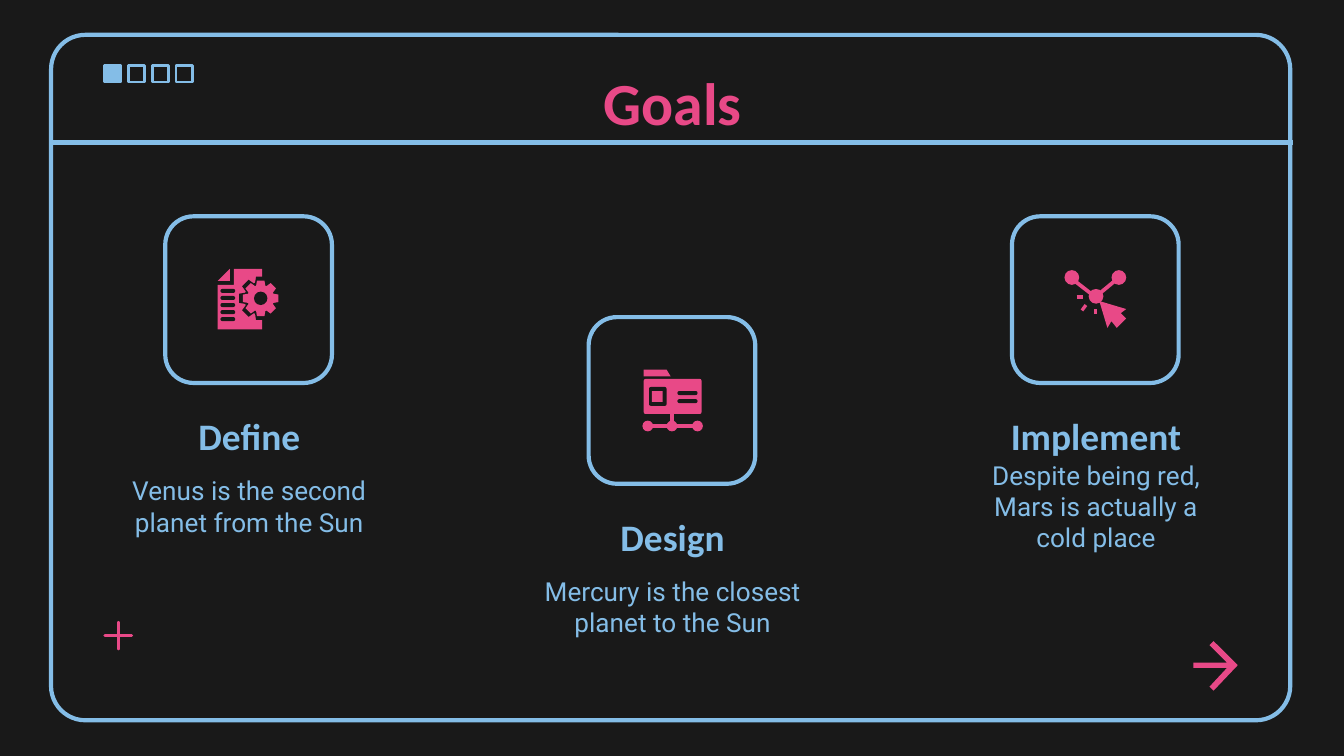
import math
from lxml import etree
from pptx import Presentation
from pptx import util as u
from pptx.dml import color
from pptx.enum import shapes, text
from pptx.oxml import ns

COLORS = {"background": "191919", "blue": "84BDE7", "pink": "E84987"}
RGB = {name: color.RGBColor.from_string(value) for name, value in COLORS.items()}
KIND = shapes.MSO_SHAPE

presentation = Presentation()
presentation.slide_width = u.Inches(10)
presentation.slide_height = u.Inches(10 * 9 / 16)
slide = presentation.slides.add_slide(presentation.slide_layouts[5])
slide.background.fill.solid()
slide.background.fill.fore_color.rgb = RGB["background"]


def add_part(kind, box, fill=None, line=None, width=1.5, adjustment=None):
    shape = slide.shapes.add_shape(kind, *map(u.Inches, box))
    shape.shadow.inherit = False
    if fill:
        shape.fill.solid()
        shape.fill.fore_color.rgb = RGB[fill]
    else:
        shape.fill.background()
    if line:
        shape.line.color.rgb = RGB[line]
        shape.line.width = u.Pt(width)
    else:
        shape.line.fill.background()
    if adjustment is not None:
        shape.adjustments[0] = adjustment


def write(shape, box, words, size, font, tint, bold, anchor):
    shape.left, shape.top, shape.width, shape.height = map(u.Inches, box)
    frame = shape.text_frame
    frame.text = words
    frame.word_wrap = True
    frame.auto_size = text.MSO_AUTO_SIZE.NONE
    frame.vertical_anchor = anchor
    frame.margin_left = frame.margin_right = u.Inches(0.1)
    frame.margin_top = frame.margin_bottom = u.Inches(0.1)
    paragraph = frame.paragraphs[0]
    paragraph.alignment = text.PP_ALIGN.CENTER
    run = paragraph.runs[0]
    run.font.size = u.Pt(size)
    run.font.name = font
    run.font.bold = bold
    run.font.color.rgb = RGB[tint]


for index in range(4):
    add_part(KIND.RECTANGLE, (0.78 + 0.53 / 3 * index, 0.49, 0.12, 0.12),
             "blue" if index == 0 else None, "blue")
add_part(KIND.ROUNDED_RECTANGLE, (0.38, 0.26, 9.22, 5.1), None, "blue", 2.25, 0.05)

write(slide.shapes.title, (0.79, 0.49, 8.43, 0.63), "Goals", 32, "Calibri", "pink", True,
      text.MSO_ANCHOR.BOTTOM)

goals = [
    ("Define", "Venus is the second planet from the Sun", 1.61),
    ("Design", "Mercury is the closest planet to the Sun", 2.36),
    ("Implement", "Despite being red, Mars is actually a cold place", 1.61),
]
for index, (heading, detail, top) in enumerate(goals):
    left = 0.79 + 3.15 * index
    add_part(KIND.ROUNDED_RECTANGLE, (left + 0.44, top, 1.24, 1.24), None, "blue", 2.25, 0.17)
    write(slide.shapes.add_textbox(0, 0, 0, 0), (left, top + 1.34, 2.13, 0.58), heading,
          20, "Calibri", "blue", True, text.MSO_ANCHOR.MIDDLE)
    write(slide.shapes.add_textbox(0, 0, 0, 0), (left, top + 1.91, 2.13, 0.49), detail,
          14, "Roboto", "blue", False, text.MSO_ANCHOR.MIDDLE)

gear = []
for tooth in range(0, 360, 45):
    for offset, radius in ((-20, 0.1), (-12, 0.135), (12, 0.135), (20, 0.1)):
        angle = math.radians(tooth + offset)
        gear.append((1.94 + radius * math.cos(angle), 2.22 + radius * math.sin(angle)))
gear_gap = [(1.94 + 1.22 * (x - 1.94), 2.22 + 1.22 * (y - 2.22)) for x, y in gear]

outlines = [
    ("pink", [(1.74, 2), (1.95, 2), (1.95, 2.45), (1.62, 2.45), (1.62, 2.12), (1.74, 2.12)]),
    ("pink", [(1.71, 2), (1.71, 2.09), (1.62, 2.09)]),
    ("background", gear_gap),
    ("pink", gear),
    ("pink", [(4.79, 2.75), (4.96, 2.75), (4.99, 2.8), (4.79, 2.8)]),
    ("pink", [(8.18, 2.24), (8.38, 2.3), (8.34, 2.33), (8.38, 2.37), (8.31, 2.44),
              (8.27, 2.39), (8.24, 2.44)]),
    ("pink", [(9.03, 4.77), (9, 4.8), (9.13, 4.93), (8.88, 4.93), (8.88, 4.97),
              (9.13, 4.97), (9, 5.11), (9.03, 5.14), (9.21, 4.95)]),
]
for fill, points in outlines:
    points = [(u.Inches(x), u.Inches(y)) for x, y in points]
    builder = slide.shapes.build_freeform(*points[0])
    builder.add_line_segments(points[1:], close=True)
    outline = builder.convert_to_shape()
    outline.shadow.inherit = False
    outline.fill.solid()
    outline.fill.fore_color.rgb = RGB[fill]
    outline.line.fill.background()

add_part(KIND.OVAL, (1.89, 2.17, 0.1, 0.1), "background")
for row in range(5):
    add_part(KIND.ROUNDED_RECTANGLE, (1.64, 2.15 + 0.21 / 4 * row, 0.11, 0.03), "background",
             adjustment=0.5)

add_part(KIND.ROUNDED_RECTANGLE, (4.79, 2.82, 0.43, 0.26), "pink", adjustment=0.05)
add_part(KIND.ROUNDED_RECTANGLE, (4.83, 2.88, 0.13, 0.14), "background", adjustment=0.1)
add_part(KIND.RECTANGLE, (4.85, 2.91, 0.08, 0.08), "pink")
for top in (2.91, 2.97):
    add_part(KIND.ROUNDED_RECTANGLE, (5.04, top, 0.15, 0.03), "background", adjustment=0.5)
for left in (4.78, 4.96, 5.15):
    add_part(KIND.OVAL, (left, 3.13, 0.08, 0.08), "pink")

for left, top in ((7.92, 2.01), (8.27, 2.01), (8.1, 2.15)):
    add_part(KIND.OVAL, (left, top, 0.11, 0.11), "pink")
add_part(KIND.STAR_4_POINT, (0.78, 4.63, 0.2, 0.2), "pink", "pink", adjustment=0)

strokes = [
    ("blue", 2.25, 0.37, 1.06, 9.62, 1.06),
    ("pink", 1.75, 4.82, 3.17, 5.19, 3.17),
    ("pink", 1.75, 5, 3.08, 5, 3.17),
    ("pink", 2, 7.97, 2.07, 8.15, 2.21),
    ("pink", 2, 8.32, 2.07, 8.15, 2.21),
    ("pink", 1.75, 8.01, 2.21, 8.06, 2.21),
    ("pink", 1.75, 8.05, 2.31, 8.08, 2.27),
    ("pink", 1.75, 8.15, 2.3, 8.15, 2.34),
]
for tint, width, *ends in strokes:
    stroke = slide.shapes.add_connector(shapes.MSO_CONNECTOR.STRAIGHT, *map(u.Inches, ends))
    stroke.line.color.rgb = RGB[tint]
    stroke.line.width = u.Pt(width)
    etree.SubElement(stroke.element.spPr, ns.qn("a:effectLst"))

presentation.save("out.pptx")
